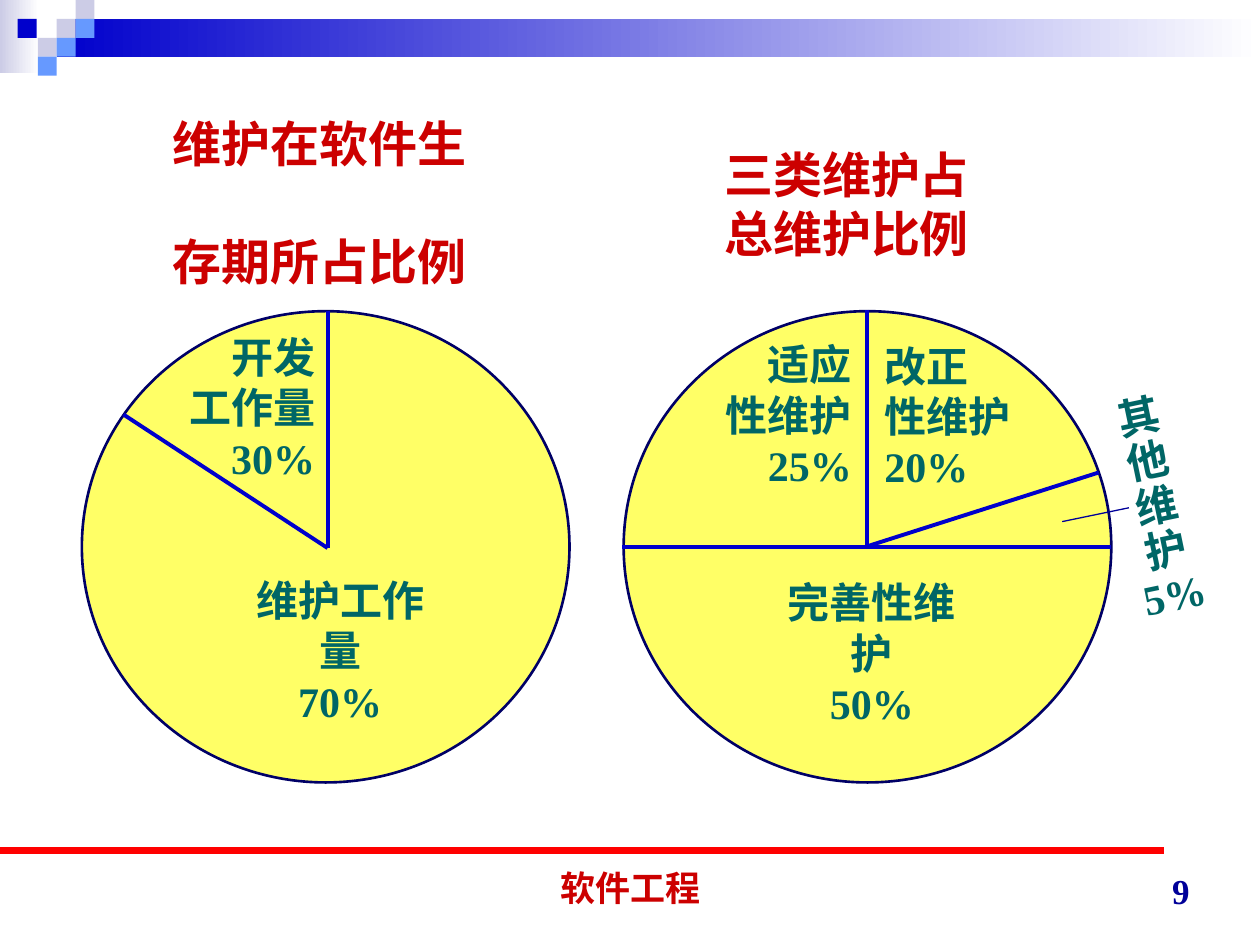
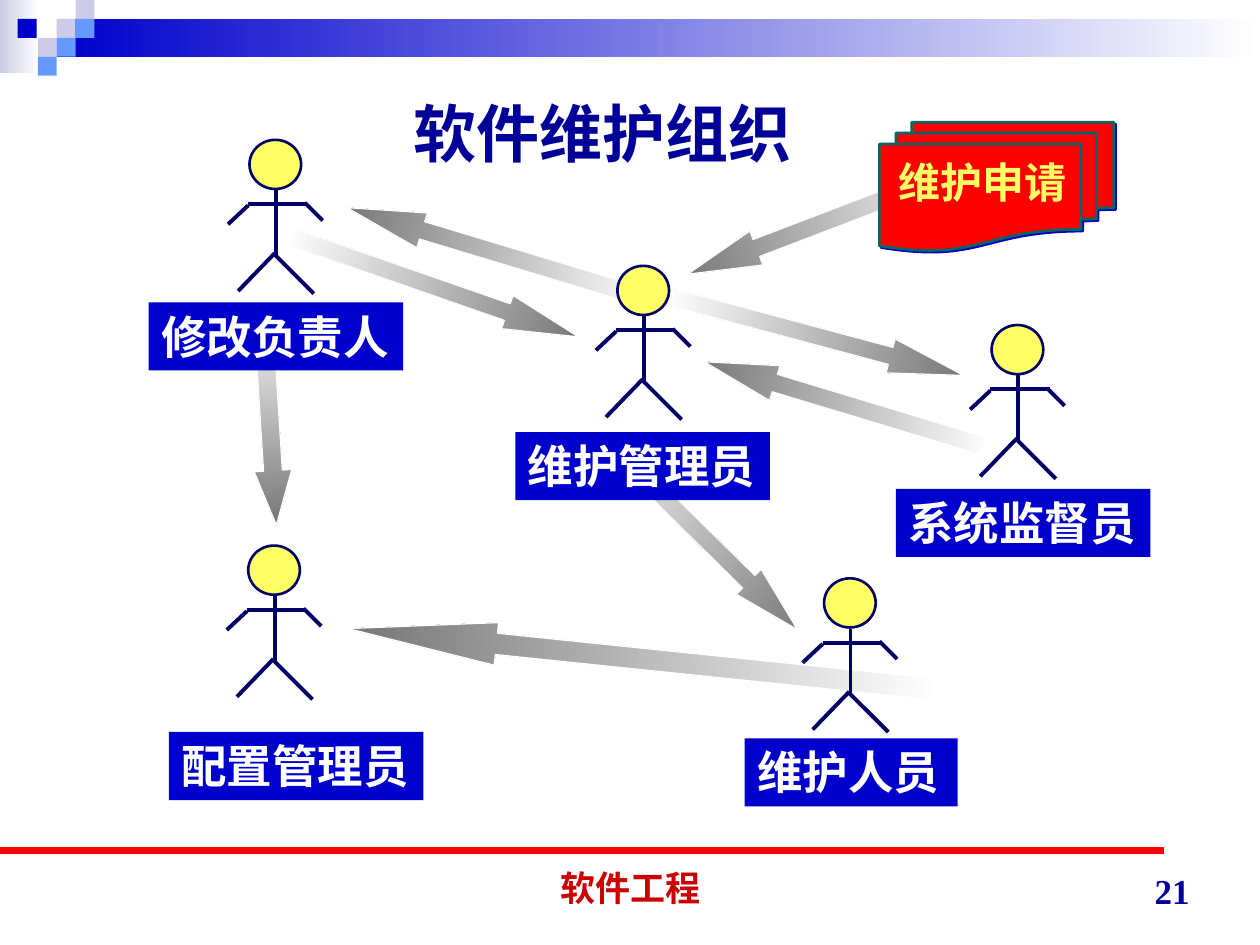
from lxml import etree
from pptx import Presentation
from pptx.dml.color import RGBColor
from pptx.enum import shapes, text
from pptx.oxml import ns
from pptx.util import Inches, Pt

COLORS = {
    "white": "FFFFFF", "lavender": "CCCCE6", "blue": "0000CC", "sky": "6699FF",
    "navy": "000066", "ink": "000099", "red": "FF0000", "crimson": "CC0000",
    "yellow": "FFFF66", "teal": "006666", "gray": "757575",
}
CJK_FONT = "Noto Sans CJK SC"
SERIF = "Times New Roman"
SHAPE = shapes.MSO_SHAPE
LEFT, CENTER, RIGHT = text.PP_ALIGN.LEFT, text.PP_ALIGN.CENTER, text.PP_ALIGN.RIGHT
TOP, MIDDLE, BOTTOM = text.MSO_ANCHOR.TOP, text.MSO_ANCHOR.MIDDLE, text.MSO_ANCHOR.BOTTOM


def add_box(page, kind, at, fill=None, line=None, weight=1.5, angle=180, words="",
            size=24, color="teal", font=SERIF, align=LEFT, anchor=TOP, wrap=False):
    """Add a shape, or a text box when kind is None; a pair of fills is a gradient."""
    place = [Inches(length) for length in at]
    if kind is None:
        box = page.shapes.add_textbox(*place)
    else:
        box = page.shapes.add_shape(kind, *place)
        box.shadow.inherit = False
        if isinstance(fill, tuple):
            box.fill.gradient()
            box.fill.gradient_angle = angle
            for stop, name in zip(box.fill.gradient_stops, fill):
                stop.color.rgb = RGBColor.from_string(COLORS[name])
        else:
            box.fill.solid()
            box.fill.fore_color.rgb = RGBColor.from_string(COLORS[fill])
        if line:
            box.line.color.rgb = RGBColor.from_string(COLORS[line])
            box.line.width = Pt(weight)
        else:
            box.line.fill.background()
    if words:
        frame = box.text_frame
        frame.text = words
        frame.word_wrap = wrap
        frame.vertical_anchor = anchor
        for para in frame.paragraphs:
            para.alignment = align
            for span in para.runs:
                span.font.size = Pt(size)
                span.font.bold = True
                span.font.color.rgb = RGBColor.from_string(COLORS[color])
                span.font.name = font
                etree.SubElement(span.font._element, ns.qn("a:ea"), typeface=CJK_FONT)
    return box


def add_line(page, start, end, color, weight):
    line = page.shapes.add_connector(
        shapes.MSO_CONNECTOR.STRAIGHT, *[Inches(length) for length in (*start, *end)])
    line.line.color.rgb = RGBColor.from_string(COLORS[color])
    line.line.width = Pt(weight)
    etree.SubElement(line.element.spPr, ns.qn("a:effectLst"))


deck = Presentation()
deck.slide_width, deck.slide_height = Inches(10), Inches(7.5)

# Shared band, corner tiles, rule and footer
TILE = 0.15
TILES = [(0.45, 0.15, "lavender"), (0.6, 0, "lavender"), (0.6, 0.15, "sky"),
         (0.3, 0.3, "lavender"), (0.14, 0.15, "blue"), (0.45, 0.3, "sky"),
         (0.3, 0.45, "sky")]
pages = []
for number in ("9", "21"):
    page = deck.slides.add_slide(deck.slide_layouts[6])
    add_box(page, SHAPE.RECTANGLE, (0, 0, 0.31, 0.58), ("white", "lavender"))
    add_box(page, SHAPE.RECTANGLE, (0.45, 0.15, 9.55, 0.3), ("white", "blue"))
    for left, top, color in TILES:
        add_box(page, SHAPE.RECTANGLE, (left, top, TILE, TILE), color)
    add_line(page, (0, 6.75), (9.24, 6.75), "red", 4.5)
    add_box(page, None, (3.42, 6.76, 3.17, 0.5), words="软件工程", size=20, color="crimson",
            font="Arial", align=CENTER, anchor=BOTTOM, wrap=True)
    add_box(page, None, (7.21, 6.78, 2.33, 0.5), words=number, size=20, color="ink",
            align=RIGHT, anchor=BOTTOM, wrap=True)
    pages.append(page)
share_page, team_page = pages

# Share page: headings
heading = add_box(share_page, None, (1.27, 0.98, 3.11, 1.25), words="维护在软件生\n存期所占比例",
                  size=28, color="crimson", font=CJK_FONT, anchor=MIDDLE, wrap=True)
heading.text_frame.paragraphs[1].space_before = Pt(34)
add_box(share_page, None, (5.65, 1.1, 2.14, 1.04), words="三类维护占\n总维护比例",
        size=28, color="crimson")

# Share page: two circles cut into sectors
for left in (0.65, 4.95):
    add_box(share_page, SHAPE.OVAL, (left, 2.47, 3.87, 3.74), "yellow", "navy")
SECTOR_EDGES = [
    ((2.6, 2.47), (2.6, 4.35)), ((2.6, 4.35), (0.98, 3.29)),
    ((6.88, 2.46), (6.88, 4.34)), ((4.94, 4.34), (8.82, 4.34)), ((6.87, 4.34), (8.72, 3.75)),
]
for start, end in SECTOR_EDGES:
    add_line(share_page, start, end, "blue", 2.25)

# Share page: sector labels
SECTOR_LABELS = [
    ((1.77, 4.51, 1.86, 0.9), "维护工作量\n70%", CENTER),
    ((1.4, 2.58, 1.2, 1.3), "开发\n工作量\n30%", RIGHT),
    ((5.66, 2.64, 1.2, 1.3), "适应\n性维护\n25%", RIGHT),
    ((6.92, 2.65, 1.2, 1.3), "改正\n性维护\n20%", LEFT),
    ((5.99, 4.53, 1.86, 0.9), "完善性维护\n50%", CENTER),
]
for at, words, align in SECTOR_LABELS:
    add_box(share_page, None, at, words=words, align=align)
other = add_box(share_page, None, (8.83, 3.08, 0.71, 1.9), words="其他维护\n5%", wrap=True)
other.rotation = 348.2
for para in other.text_frame.paragraphs:
    para.line_spacing = 0.9
other.text_frame.paragraphs[0].alignment = CENTER
add_line(share_page, (8.96, 4.03), (8.43, 4.14), "ink", 0.75)

# Team page: block arrows that darken towards the tip
RIGHTWARD = (SHAPE.RIGHT_ARROW, ("gray", "white"), 180)
LEFTWARD = (SHAPE.LEFT_ARROW, ("white", "gray"), 180)
DOWNWARD = (SHAPE.DOWN_ARROW, ("white", "gray"), 270)
ARROWS = [
    (RIGHTWARD, (2.26, 2.14, 2.4, 0.28), 19.2, 2.146),
    (RIGHTWARD, (5.29, 2.53, 2.4, 0.28), 15, 2.146),
    (RIGHTWARD, (4.48, 4.1, 2.16, 0.28), 44.6, 1.933),
    (LEFTWARD, (2.75, 5.06, 4.69, 0.34), 5.9, 3.481),
    (LEFTWARD, (2.7, 1.86, 2.47, 0.29), 16.8, 2.154),
    (LEFTWARD, (5.54, 3.06, 2.31, 0.29), 16.8, 2.02),
    (LEFTWARD, (5.38, 1.62, 2.31, 0.29), 339.1, 2.02),
    (DOWNWARD, (1.99, 2.44, 0.3, 1.73), 356.4, 1.447),
]
for (kind, fill, angle), at, turn, head_length in ARROWS:
    arrow = add_box(team_page, kind, at, fill, "white", 0.75, angle)
    arrow.rotation = turn
    arrow.adjustments[0] = 0.5
    arrow.adjustments[1] = head_length

# Team page: request documents with a hard shadow
request = add_box(team_page, SHAPE.FLOWCHART_MULTIDOCUMENT, (6.98, 0.97, 1.86, 1.02),
                  "red", "teal")
effects = request.element.spPr.find(ns.qn("a:effectLst"))
shadow = etree.SubElement(effects, ns.qn("a:outerShdw"), dist=str(Pt(1.4)),
                          dir=str(45 * 60000), algn="ctr", rotWithShape="0")
etree.SubElement(shadow, ns.qn("a:srgbClr"), val=COLORS["blue"])
add_box(team_page, None, (7.03, 1.19, 1.53, 0.5), words="维护申请", color="yellow")

# Team page: stick figures, limbs measured from the head's corner
LIMBS = [
    ((0.21, 0.93), (0.21, 0.4)), ((-0.01, 0.51), (0.46, 0.51)),
    ((-0.01, 0.52), (-0.17, 0.67)), ((0.44, 0.5), (0.58, 0.64)),
    ((0.2, 0.9), (-0.09, 1.2)), ((0.2, 0.91), (0.51, 1.22)),
]
MEMBERS = [
    ((7.87, 2.58), "系统监督员", (7.11, 3.88, 2.02)),
    ((6.54, 4.59), "维护人员", (5.91, 5.86, 1.69)),
    ((4.9, 2.11), "维护管理员", (4.09, 3.43, 2.02)),
    ((1.98, 1.11), "修改负责人", (1.18, 2.4, 2.02)),
    ((1.97, 4.33), "配置管理员", (1.34, 5.81, 2.02)),
]
for (x, y), role, plate in MEMBERS:
    add_box(team_page, SHAPE.OVAL, (x, y, 0.41, 0.39), "yellow", "navy")
    for (x1, y1), (x2, y2) in LIMBS:
        add_line(team_page, (x + x1, y + y1), (x + x2, y + y2), "navy", 2.25)
    add_box(team_page, SHAPE.RECTANGLE, (*plate, 0.54), "blue", words=role, size=26,
            color="white", wrap=True)

# Team page: title
add_box(team_page, None, (3.18, 0.7, 3.2, 0.7), words="软件维护组织", size=36, color="ink")

deck.save("out.pptx")
